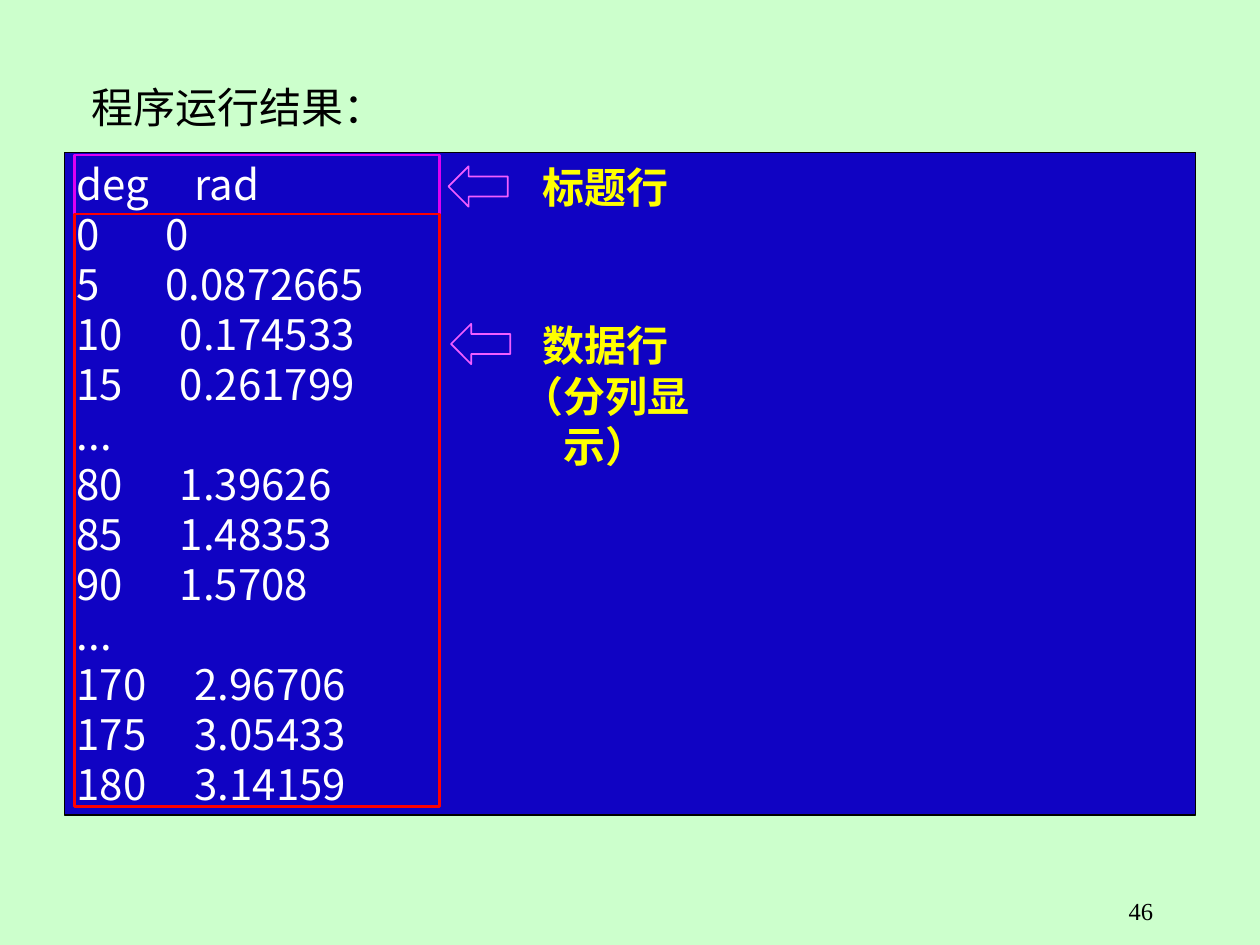
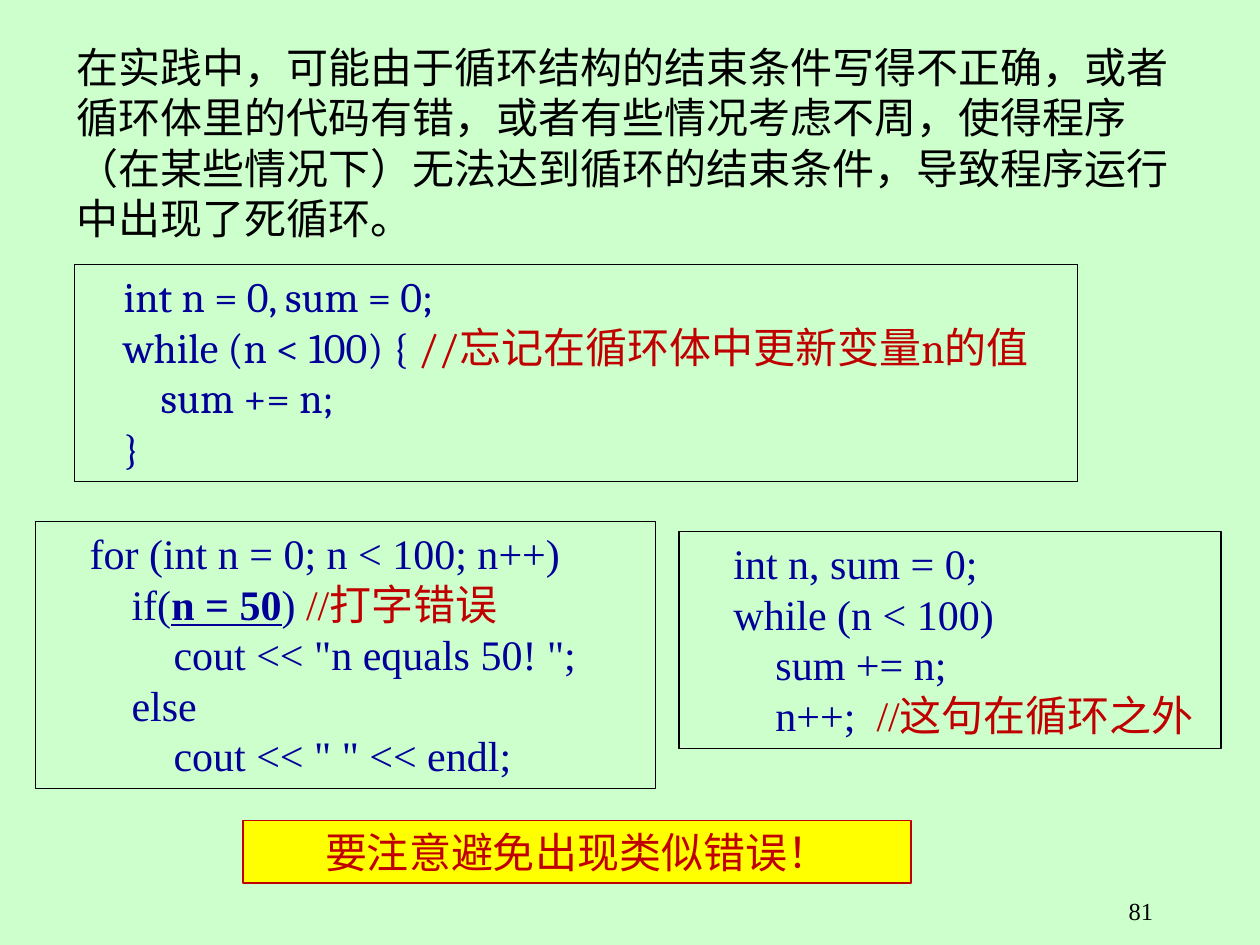
from lxml import etree
from pptx import Presentation
from pptx import util as u
from pptx.dml.color import RGBColor
from pptx.enum import lang, shapes, text
from pptx.oxml import ns

COLORS = {
    "page": "CCFFCC", "ink": "000000", "console": "1003C3", "white": "FFFFFF",
    "yellow": "FFFF00", "header": "DE00F2", "data": "FF0000", "arrow": "F25EFF",
    "code": "000099", "warning": "C00000",
}
SANS, SERIF, BOOK = "Noto Sans CJK SC", "Times New Roman", "Cambria"
COLUMNS, ROWS = 100, 75
WIDTH, HEIGHT = u.Inches(10), u.Inches(7.5)
SHAPE = shapes.MSO_SHAPE
CENTER, RIGHT = text.PP_ALIGN.CENTER, text.PP_ALIGN.RIGHT

RESULTS = [
    ("deg", "rad"), ("0", "0"), ("5", "0.0872665"), ("10", "0.174533"),
    ("15", "0.261799"), ("...",), ("80", "1.39626"), ("85", "1.48353"),
    ("90", "1.5708"), ("...",), ("170", "2.96706"), ("175", "3.05433"),
    ("180", "3.14159"),
]
FORGOTTEN_UPDATE = [
    ["    int n = 0, sum = 0;"],
    ["    while (n < 100) { ", "//忘记在循环体中更新变量n的值"],
    ["        sum += n;"],
    ["    }"],
]
OUTSIDE_LOOP = [
    ["    int n, sum = 0;"],
    ["    while (n < 100)"],
    ["        sum += n;"],
    ["        n++;  ", "//这句在循环之外"],
]
TYPING_ERROR = [
    ["    for (int n = 0; n < 100; n++)"],
    ["        if(", "n = 50", ") ", "//打字错误"],
    ["            cout << \"n equals 50! \";"],
    ["        else"],
    ["            cout << \" \" << endl;"],
]
LOOP_ADVICE = ("在实践中，可能由于循环结构的结束条件写得不正确，或者循环体里的代码有错，"
               "或者有些情况考虑不周，使得程序（在某些情况下）无法达到循环的结束条件，"
               "导致程序运行中出现了死循环。")


def rgb(name):
    return RGBColor.from_string(COLORS[name])


def grid(col, row, cols, rows):
    return (int(WIDTH * col / COLUMNS), int(HEIGHT * row / ROWS),
            int(WIDTH * cols / COLUMNS), int(HEIGHT * rows / ROWS))


def add_box(s, cell, fill=None, line=None, weight=0.75, kind=SHAPE.RECTANGLE):
    sp = s.shapes.add_shape(kind, *grid(*cell))
    sp.shadow.inherit = False
    if fill:
        sp.fill.solid()
        sp.fill.fore_color.rgb = rgb(fill)
    else:
        sp.fill.background()
    sp.line.color.rgb = rgb(line)
    sp.line.width = u.Pt(weight)
    return sp


def format_run(r, font, color, size=24, bold=False):
    r.font.size = u.Pt(size)
    r.font.bold = bold
    r.font.color.rgb = rgb(color)
    r.font.language_id = lang.MSO_LANGUAGE_ID.SIMPLIFIED_CHINESE
    r.font.name = font
    etree.SubElement(r.font._element, ns.qn("a:ea"), typeface=SANS)


def prepare_frame(sp, wrap=True):
    tf = sp.text_frame
    tf.auto_size = text.MSO_AUTO_SIZE.NONE
    tf.word_wrap = wrap
    tf.vertical_anchor = text.MSO_ANCHOR.TOP
    tf.margin_left = tf.margin_right = u.Inches(0.1)
    tf.margin_top = tf.margin_bottom = u.Inches(0.05)
    return tf


def write(sp, content, font, color, align=text.PP_ALIGN.LEFT, size=24, bold=False,
          leading=1.2):
    tf = prepare_frame(sp)
    tf.text = content
    for p in tf.paragraphs:
        p.alignment = align
        p.line_spacing = u.Pt(size * leading)
        p.space_before = u.Pt(0)
        for r in p.runs:
            format_run(r, font, color, size, bold)


def add_label(s, cell, content, *style, **options):
    write(s.shapes.add_textbox(*grid(*cell)), content, *style, **options)


def add_page_number(s, number):
    add_label(s, (71.7, 70.6, 20.8, 4.4), str(number), SERIF, "ink",
              align=RIGHT, size=14)


def add_code(s, cell, lines, font, typo=None):
    tf = prepare_frame(add_box(s, cell, line="ink"), wrap=False)
    for i, parts in enumerate(lines):
        p = tf.paragraphs[0] if i == 0 else tf.add_paragraph()
        p.alignment = text.PP_ALIGN.LEFT
        p.line_spacing = u.Pt(28.8)
        for part in parts:
            r = p.add_run()
            r.text = part
            color = "warning" if part.startswith("//") else "code"
            format_run(r, font, color, bold=part == typo)
            r.font.underline = part == typo


def add_console(s, cell, rows):
    sp = add_box(s, cell, fill="console", line="ink")
    write(sp, "\n".join("\t".join(row) for row in rows), SANS, "white", leading=1.19)
    for p, row in zip(sp.text_frame.paragraphs, rows):
        if len(row) == 2:
            tabs = etree.SubElement(p._p.get_or_add_pPr(), ns.qn("a:tabLst"))
            stop = u.Inches(0.59 + 0.115 * len(row[0]))
            etree.SubElement(tabs, ns.qn("a:tab"), pos=str(int(stop)), algn="l")


def add_pointer(s, col, row):
    add_box(s, (col, row, 4.7, 3.2), line="arrow", weight=1, kind=SHAPE.LEFT_ARROW)


def build_results(prs):
    s = prs.slides.add_slide(prs.slide_layouts[5])
    title = s.shapes.title
    title.left, title.top, title.width, title.height = grid(5.9, 6, 22.8, 5)
    write(title, "程序运行结果：", SERIF, "ink", align=CENTER)
    add_console(s, (5.1, 12.1, 89.8, 52.6), RESULTS)
    add_box(s, (5.9, 12.3, 29, 4.7), line="header", weight=1.5)
    add_box(s, (5.9, 17, 29, 47), line="data", weight=1.5)
    add_pointer(s, 35.6, 13.2)
    add_pointer(s, 35.8, 25.7)
    for cell, label in (((40.3, 12.3, 15.5, 5), "标题行"),
                        ((37.9, 24.9, 20.3, 9.1), "数据行\n（分列显示）")):
        add_label(s, cell, label, SANS, "yellow", align=CENTER, bold=True)
    add_page_number(s, 46)


def build_endless_loops(prs):
    s = prs.slides.add_slide(prs.slide_layouts[6])
    add_label(s, (5.1, 2.8, 89.8, 17), LOOP_ADVICE, BOOK, "ink")
    add_code(s, (5.9, 21, 79.6, 17.2), FORGOTTEN_UPDATE, BOOK)
    add_code(s, (53.9, 42.2, 43, 17.2), OUTSIDE_LOOP, SERIF)
    add_code(s, (2.8, 41.4, 49.2, 21.2), TYPING_ERROR, SERIF, typo="n = 50")
    reminder = add_box(s, (19.3, 65.1, 53, 5), fill="yellow", line="warning")
    write(reminder, "要注意避免出现类似错误！", SERIF, "warning", align=CENTER)
    add_page_number(s, 81)


def main():
    prs = Presentation()
    prs.slide_width, prs.slide_height = WIDTH, HEIGHT
    background = prs.slide_master.background.fill
    background.solid()
    background.fore_color.rgb = rgb("page")
    build_results(prs)
    build_endless_loops(prs)
    prs.save("out.pptx")


if __name__ == "__main__":
    main()
